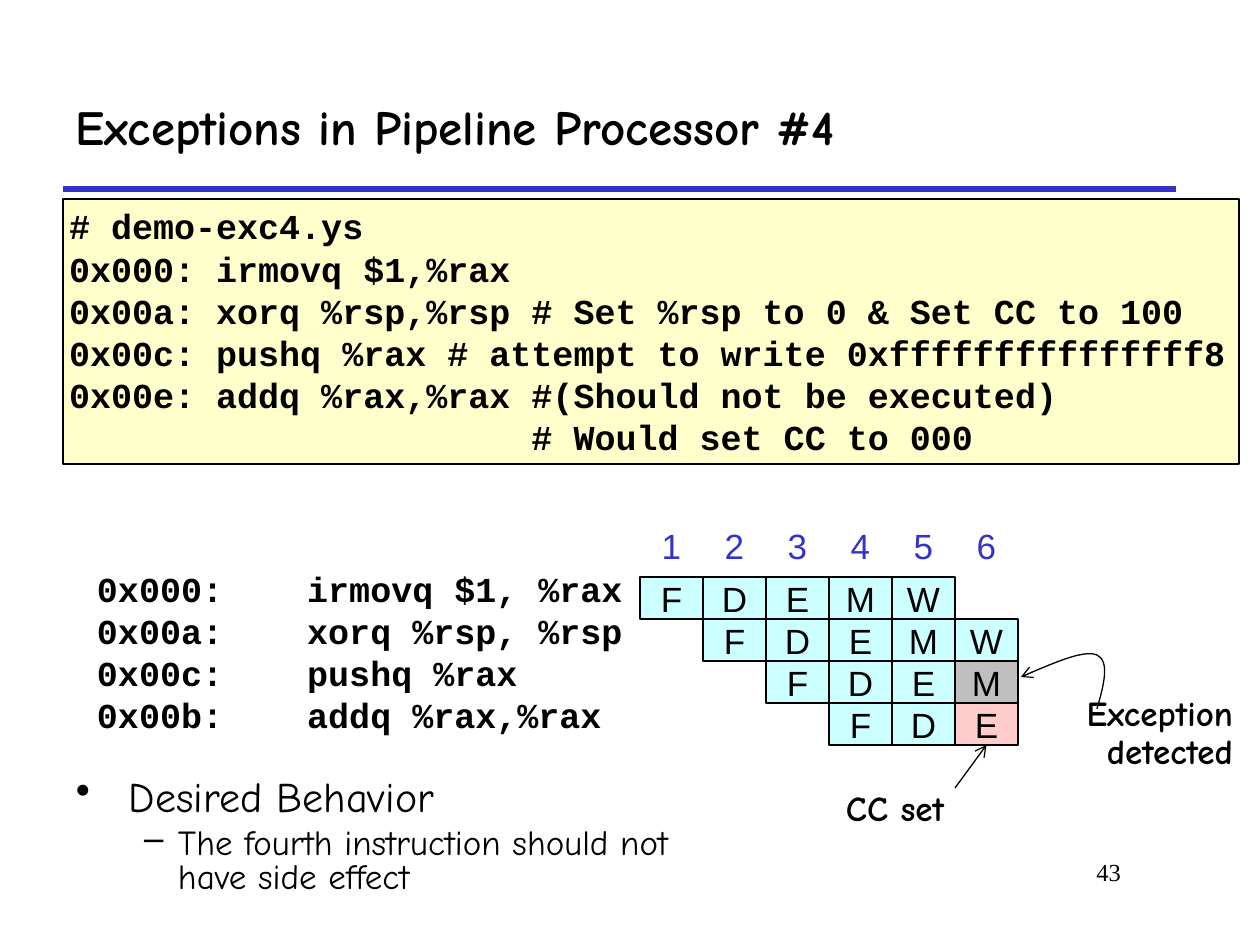
from dataclasses import dataclass

from lxml import etree
from pptx import Presentation
from pptx import util as u
from pptx.dml.color import RGBColor
from pptx.enum import shapes, text
from pptx.oxml import ns


@dataclass(frozen=True)
class Theme:
    ink: str = "000000"
    paper: str = "FFFFFF"
    accent: str = "3333CC"
    listing: str = "FFFFCC"
    stage: str = "CCFFFF"
    excepted: str = "BFBFBF"
    cc_set: str = "FFCCCC"
    hand: str = "Comic Neue"
    code: str = "Courier New"
    sans: str = "Arial"
    serif: str = "Times New Roman"
    title: int = 28
    heading: int = 24
    body: int = 20
    page: int = 14


THEME = Theme()

TITLE = "Exceptions in Pipeline Processor #4"
LISTING = [
    "# demo-exc4.ys",
    "0x000: irmovq $1,%rax",
    "0x00a: xorq %rsp,%rsp # Set %rsp to 0 & Set CC to 100",
    "0x00c: pushq %rax # attempt to write 0xfffffffffffffff8",
    "0x00e: addq %rax,%rax #(Should not be executed)",
    "                      # Would set CC to 000",
]
PIPELINE = [
    ("0x000:    irmovq $1, %rax", "FDEMW"),
    ("0x00a:    xorq %rsp, %rsp", "FDEMW"),
    ("0x00c:    pushq %rax", "FDEM"),
    ("0x00b:    addq %rax,%rax", "FDE"),
]
CYCLES = 6
SPECIAL_STAGES = {(2, 5): THEME.excepted, (3, 5): THEME.cc_set}
BEHAVIOR = [
    ("Desired Behavior", "•", THEME.heading, 53, 53, 0),
    ("The fourth instruction should not have side effect", "–", THEME.body, 102, 34, 5),
]
EXCEPTION_CURVE = [(1097, 709), (1104, 685), (1110, 661), (1097, 655),
                   (1085, 650), (1053, 663), (1021, 677)]

GRID_LEFT, GRID_TOP, STAGE_W, STAGE_H = 640, 577, 63, 42
CODE_LEFT, CODE_TOP, CODE_W = 84, 567, 358
CYCLE_TOP = 524


def px(n):
    return u.Emu(round(n * 914400 / 126))


def rgb(value):
    return RGBColor.from_string(value)


def style(target, values):
    for name, value in values.items():
        setattr(target, name, value)


def write(shape, lines, font, size, color=THEME.ink, bold=False, align="LEFT",
          anchor="TOP", inset=(13, 6), wrap=True, spacing=None):
    frame = shape.text_frame
    side, top = map(px, inset)
    style(frame, dict(word_wrap=wrap, vertical_anchor=getattr(text.MSO_ANCHOR, anchor),
                      margin_left=side, margin_right=side, margin_top=top, margin_bottom=top))
    for i, line in enumerate(lines):
        paragraph = frame.add_paragraph() if i else frame.paragraphs[0]
        style(paragraph, dict(alignment=getattr(text.PP_ALIGN, align), line_spacing=spacing))
        run = paragraph.add_run()
        run.text = line
        style(run.font, dict(name=font, size=u.Pt(size), bold=bold))
        run.font.color.rgb = rgb(color)
    return shape


def label(slide, box, lines, font, size, **options):
    return write(slide.shapes.add_textbox(*map(px, box)), lines, font, size, **options)


def panel(slide, box, fill, outline=None):
    shape = slide.shapes.add_shape(shapes.MSO_SHAPE.RECTANGLE, *map(px, box))
    shape.shadow.inherit = False
    shape.fill.solid()
    shape.fill.fore_color.rgb = rgb(fill)
    if outline:
        ink_line(shape.line, THEME.ink, outline)
    else:
        shape.line.fill.background()
    return shape


def ink_line(line, color, width):
    line.color.rgb = rgb(color)
    line.width = u.Pt(width)


def straight(slide, start, end, color, width):
    line = slide.shapes.add_connector(shapes.MSO_CONNECTOR.STRAIGHT, *map(px, start + end))
    ink_line(line.line, color, width)
    etree.SubElement(line._element.spPr, ns.qn("a:effectLst"))
    return line


def add_arrowhead(shape):
    line = shape._element.spPr.find(ns.qn("a:ln"))
    etree.SubElement(line, ns.qn("a:tailEnd"), type="arrow")


def curve(slide, points):
    start, *rest = [tuple(map(px, point)) for point in points]
    builder = slide.shapes.build_freeform(*start)
    builder.add_line_segments(rest, close=False)
    shape = builder.convert_to_shape()
    shape.shadow.inherit = False
    shape.fill.background()
    ink_line(shape.line, THEME.ink, 0.75)
    segments = list(shape._element.iter(ns.qn("a:lnTo")))
    for i in range(0, len(segments), 3):
        bezier = etree.Element(ns.qn("a:cubicBezTo"))
        segments[i].addprevious(bezier)
        for segment in segments[i:i + 3]:
            bezier.append(segment[0])
            segment.getparent().remove(segment)
    return shape


def add_behavior(slide):
    box = label(slide, (63, 774, 672, 130), [item[0] for item in BEHAVIOR],
                THEME.hand, THEME.body, spacing=0.8)
    for paragraph, (_, mark, size, margin, hang, before) in zip(box.text_frame.paragraphs, BEHAVIOR):
        paragraph.space_before = u.Pt(before)
        properties = paragraph._p.get_or_add_pPr()
        properties.set("marL", str(px(margin)))
        properties.set("indent", str(-px(hang)))
        etree.SubElement(properties, ns.qn("a:buChar"), char=mark)
        paragraph.runs[0].font.size = u.Pt(size)


def add_pipeline(slide):
    for cycle in range(CYCLES):
        box = (GRID_LEFT + cycle * STAGE_W, CYCLE_TOP, STAGE_W, STAGE_H)
        write(panel(slide, box, THEME.paper), [str(cycle + 1)], THEME.sans, THEME.body,
              color=THEME.accent, align="CENTER", anchor="MIDDLE", wrap=False)
    cells = {}
    for row, (instruction, stages) in enumerate(PIPELINE):
        box = (CODE_LEFT, CODE_TOP + row * STAGE_H, CODE_W, STAGE_H)
        write(panel(slide, box, THEME.paper), [instruction], THEME.code, THEME.body,
              bold=True, anchor="MIDDLE", wrap=False)
        for column, stage in enumerate(stages, row):
            box = (GRID_LEFT + column * STAGE_W, GRID_TOP + row * STAGE_H, STAGE_W, STAGE_H)
            cell = panel(slide, box, SPECIAL_STAGES.get((row, column), THEME.stage), 1)
            cells[row, column] = write(cell, [stage], THEME.sans, THEME.body,
                                       align="CENTER", anchor="MIDDLE", wrap=False)
    return cells


def main():
    deck = Presentation()
    style(deck, dict(slide_width=px(1260), slide_height=px(945)))
    slide = deck.slides.add_slide(deck.slide_layouts[6])

    straight(slide, (63, 189), (1176, 189), THEME.accent, 3)
    label(slide, (63, 63, 1113, 126), [TITLE], THEME.hand, THEME.title, bold=True, anchor="MIDDLE")
    label(slide, (955, 851, 179, 63), ["43"], THEME.serif, THEME.page, align="RIGHT")
    add_behavior(slide)
    write(panel(slide, (63, 199, 1176, 265), THEME.listing, 0.75), LISTING,
          THEME.code, THEME.body, bold=True, inset=(6, 6))
    label(slide, (1050, 690, 189, 88), ["Exception detected"], THEME.hand, THEME.body,
          bold=True, align="RIGHT", inset=(6, 6), spacing=0.9)

    cells = add_pipeline(slide)
    cc_arrow = straight(slide, (955, 788), (986, 745), THEME.ink, 0.75)
    cc_arrow.end_connect(cells[3, 5], 2)
    add_arrowhead(cc_arrow)
    label(slide, (840, 780, 168, 54), ["CC set"], THEME.hand, THEME.body, bold=True, inset=(6, 6))
    add_arrowhead(curve(slide, EXCEPTION_CURVE))

    deck.save("out.pptx")


if __name__ == "__main__":
    main()
